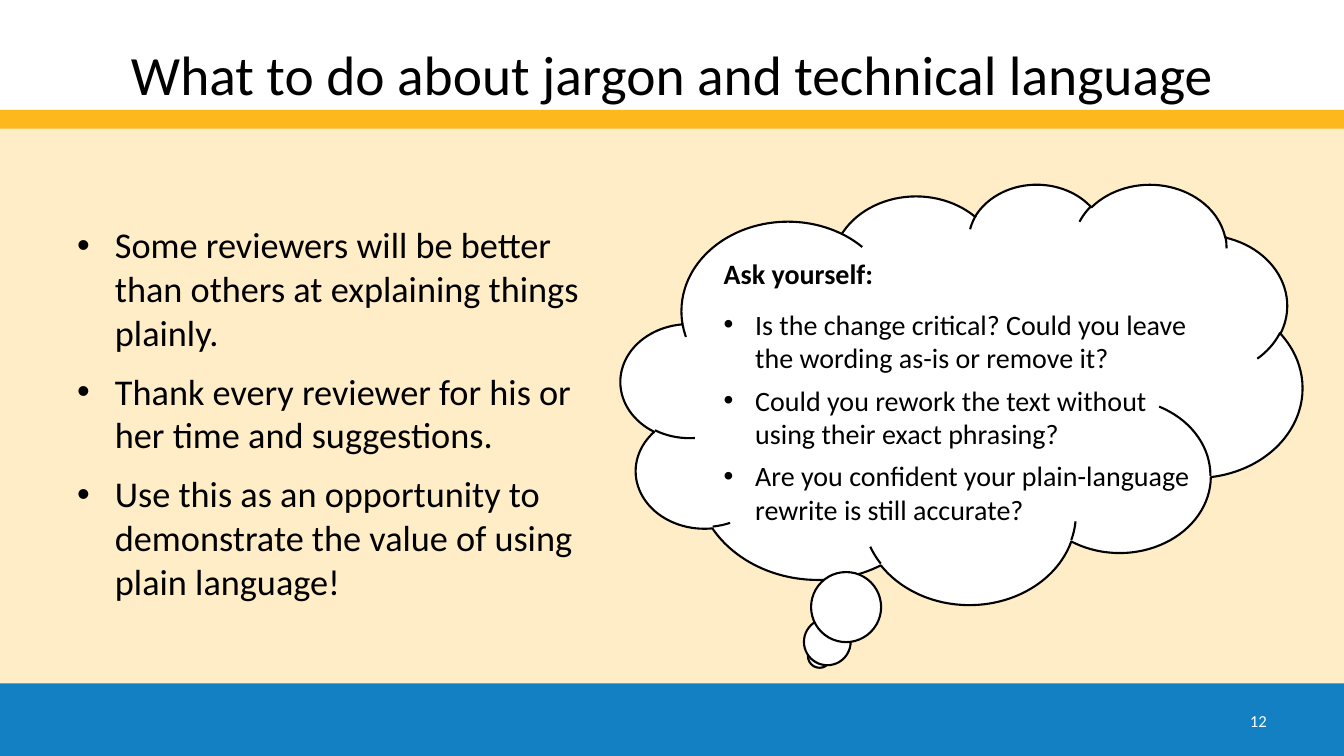
import pptx
import pptx.dml.color
import pptx.enum.shapes
import pptx.enum.text
import pptx.oxml.ns
import pptx.util
from lxml import etree

Pt = pptx.util.Pt
RGBColor = pptx.dml.color.RGBColor
SHAPE = pptx.enum.shapes.MSO_SHAPE
ALIGN = pptx.enum.text.PP_ALIGN
ANCHOR = pptx.enum.text.MSO_ANCHOR

BLACK = RGBColor(0x00, 0x00, 0x00)
WHITE = RGBColor(0xFF, 0xFF, 0xFF)
CREAM = RGBColor(0xFE, 0xED, 0xC6)
GOLD = RGBColor(0xFD, 0xB8, 0x1E)
BLUE = RGBColor(0x12, 0x80, 0xC3)


def add_panel(kind, left, top, width, height, color):
    panel = slide.shapes.add_shape(kind, Pt(left), Pt(top), Pt(width), Pt(height))
    panel.shadow.inherit = False
    panel.fill.solid()
    panel.fill.fore_color.rgb = color
    panel.line.fill.background()
    return panel


def write_paragraphs(box, paragraphs):
    """Fill a box from (text, bullet indent, paragraph format, font format) rows."""
    frame = box.text_frame
    frame.word_wrap = True
    frame.auto_size = pptx.enum.text.MSO_AUTO_SIZE.NONE
    for index, (text, indent, layout, font) in enumerate(paragraphs):
        para = frame.paragraphs[0] if index == 0 else frame.add_paragraph()
        para.text = text
        if indent:
            properties = para._p.get_or_add_pPr()
            properties.set("marL", str(Pt(indent)))
            properties.set("indent", str(-Pt(indent)))
            ns = pptx.oxml.ns.qn
            etree.SubElement(properties, ns("a:buFont")).set("typeface", "Arial")
            etree.SubElement(properties, ns("a:buChar")).set("char", "•")
        for name, value in layout.items():
            setattr(para, name, value)
        for name, value in ({"name": "Calibri"} | font).items():
            if name == "color":
                para.font.color.rgb = value
            else:
                setattr(para.font, name, value)


deck = pptx.Presentation()
deck.slide_width, deck.slide_height = Pt(960), Pt(540)
slide = deck.slides.add_slide(deck.slide_layouts[5])
slide.background.fill.solid()
slide.background.fill.fore_color.rgb = CREAM

# Title on its white header
title = slide.shapes.title
title.left, title.top, title.width, title.height = Pt(48), Pt(7.2), Pt(864), Pt(90)
title.text_frame.vertical_anchor = ANCHOR.MIDDLE
write_paragraphs(title, [
    ("What to do about jargon and technical language", 0,
     {"alignment": ALIGN.CENTER}, {"size": Pt(39.6), "color": BLACK}),
])
header = add_panel(SHAPE.RECTANGLE, 0, 0, 960, 78.5, WHITE)
title.element.addprevious(header.element)

# Advice on the left
advice = [
    "Some reviewers will be better than others at explaining things plainly.",
    "Thank every reviewer for his or her time and suggestions.",
    "Use this as an opportunity to demonstrate the value of using plain language!",
]
advice_box = slide.shapes.add_textbox(Pt(48), Pt(155.5), Pt(373.7), Pt(274.3))
write_paragraphs(advice_box, [
    (text, 27, {"space_before": Pt(5.2 if index else 0), "space_after": Pt(6)},
     {"size": Pt(25.9), "color": BLACK})
    for index, text in enumerate(advice)
])

# Questions in the thought cloud
cloud = add_panel(SHAPE.CLOUD_CALLOUT, 443.5, 131, 486.7, 300.2, WHITE)
cloud.line.color.rgb = BLACK
cloud.line.width = Pt(1.5)
questions = [
    "Is the change critical? Could you leave the wording as-is or remove it?",
    "Could you rework the text without using their exact phrasing?",
    "Are you confident your plain-language rewrite is still accurate?",
]
question_font = {"size": Pt(20), "color": BLACK}
question_box = slide.shapes.add_textbox(Pt(509.8), Pt(180), Pt(354.2), Pt(200.9))
write_paragraphs(question_box, [
    ("Ask yourself:", 0, {"space_after": Pt(12)}, question_font | {"bold": True}),
] + [(text, 22.5, {"space_after": Pt(6)}, question_font) for text in questions])

# Footer, gold rule and page number
add_panel(SHAPE.RECTANGLE, 0, 488.2, 960, 51.8, BLUE)
add_panel(SHAPE.RECTANGLE, 0, 78.5, 960, 13.5, GOLD)
number_box = slide.shapes.add_textbox(Pt(688), Pt(500.5), Pt(224), Pt(28.8))
number_box.text_frame.vertical_anchor = ANCHOR.MIDDLE
write_paragraphs(number_box, [
    ("12", 0, {"alignment": ALIGN.RIGHT}, {"size": Pt(12), "color": WHITE}),
])

deck.save("out.pptx")
